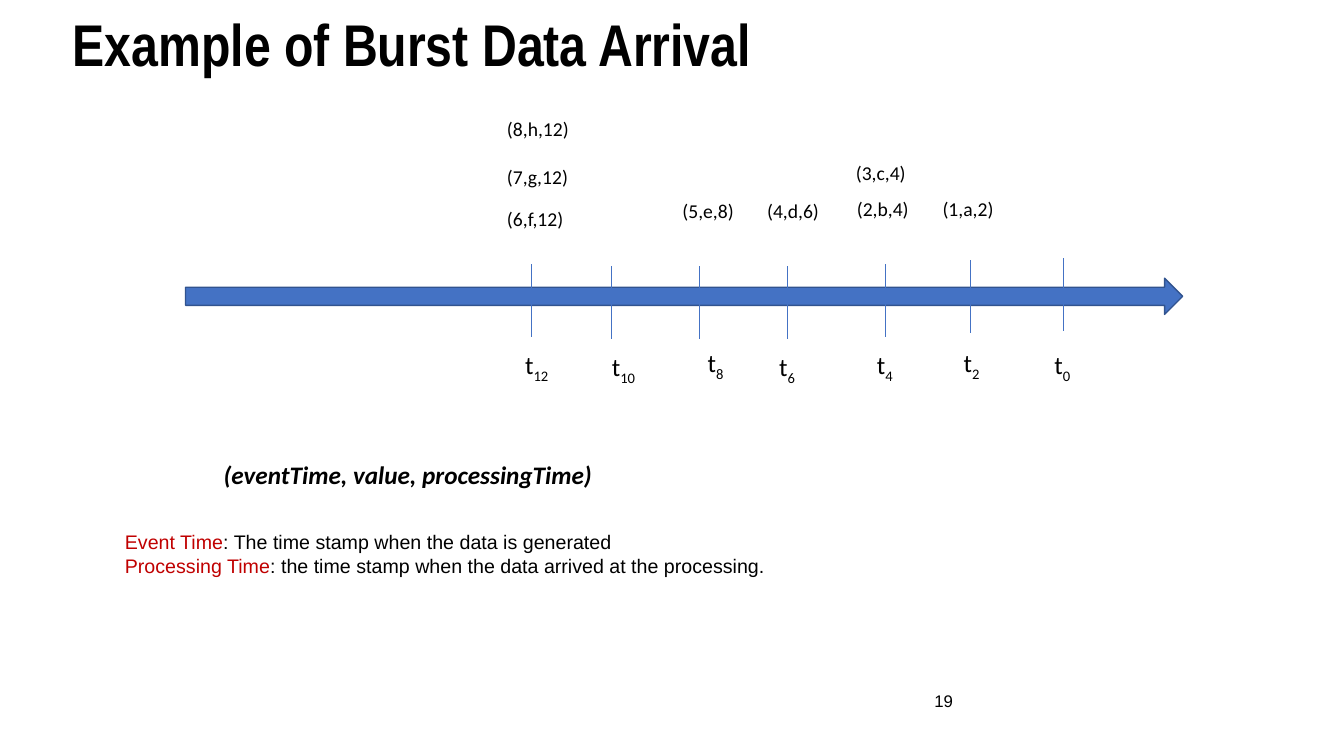
from pptx import Presentation
from pptx.dml.color import RGBColor
from pptx.enum.shapes import MSO_CONNECTOR, MSO_SHAPE
from pptx.enum.text import MSO_ANCHOR, PP_ALIGN
from pptx.oxml.ns import qn
from pptx.util import Emu, Pt
from lxml import etree

LINE = MSO_CONNECTOR.STRAIGHT
ARROW = MSO_SHAPE.RIGHT_ARROW
TOP, MIDDLE = MSO_ANCHOR.TOP, MSO_ANCHOR.MIDDLE
RIGHT = PP_ALIGN.RIGHT

BLACK, RED, BLUE, NAVY = "000000", "C00000", "4472C4", "31538F"
TICK = 72

# time, tick left, tick top, label left, label top
TIMES = [
    (12, 527, 262, 511, 342),
    (10, 607, 264, 597, 344),
    (8, 694, 264, 692, 340),
    (6, 781, 264, 763, 344),
    (4, 878, 262, 860, 342),
    (2, 963, 258, 946, 340),
    (0, 1055, 256, 1036, 342),
]
# event, left, top, width
EVENTS = [
    ("(8,h,12)", 493, 111, 82),
    ("(7,g,12)", 493, 159, 82),
    ("(6,f,12)", 493, 200, 82),
    ("(5,e,8)", 667, 192, 77),
    ("(4,d,6)", 751, 192, 77),
    ("(3,c,4)", 839, 155, 77),
    ("(2,b,4)", 840, 190, 77),
    ("(1,a,2)", 925, 190, 77),
]
NOTES = [
    ("Event Time", ": The time stamp when the data is generated"),
    ("Processing Time",
     ": the time stamp when the data arrived at the processing."),
]


def px(n):
    """Length in hundredths of an inch."""
    return Emu(n * 9144)


def rgb(code):
    return RGBColor.from_string(code)


def style(run, size, font, color=BLACK, bold=False, slant=False):
    run.font.size = Pt(size)
    run.font.name = font
    run.font.color.rgb = rgb(color)
    run.font.bold = bold
    run.font.italic = slant


def add_box(slide, left, top, width, height, wrap=False):
    box = slide.shapes.add_textbox(px(left), px(top), px(width), px(height))
    frame = box.text_frame
    frame.word_wrap = wrap
    frame.vertical_anchor = TOP
    return frame


def add_label(slide, text, left, top, width, height, size, font="Calibri",
              wrap=False, **looks):
    frame = add_box(slide, left, top, width, height, wrap)
    frame.text = text
    style(frame.paragraphs[0].runs[0], size, font, **looks)
    return frame


def add_title(slide, text):
    frame = add_label(slide, text, 67, 11, 1200, 56, 42, "Arial Narrow",
                      wrap=True, bold=True)
    frame.margin_left = frame.margin_right = px(5)
    frame.paragraphs[0].line_spacing = 0.9


def add_axis(slide):
    axis = slide.shapes.add_shape(ARROW, px(184), px(276), px(989), px(36))
    axis.shadow.inherit = False
    axis.fill.solid()
    axis.fill.fore_color.rgb = rgb(BLUE)
    axis.line.color.rgb = rgb(NAVY)
    axis.line.width = Pt(1)


def add_tick(slide, left, top):
    tick = slide.shapes.add_connector(
        LINE, px(left), px(top), px(left), px(top + TICK))
    tick.line.color.rgb = rgb(BLUE)
    tick.line.width = Pt(0.75)
    etree.SubElement(tick._element.spPr, qn("a:effectLst"))


def add_time(slide, time, left, top):
    """Letter t with the time as its subscript."""
    width = 46 if time > 9 else 37
    frame = add_label(slide, "t", left, top, width, 40, 18)
    sub = frame.paragraphs[0].add_run()
    sub.text = str(time)
    style(sub, 18, "Calibri")
    sub._r.get_or_add_rPr().set("baseline", "-25000")


def add_notes(slide):
    frame = add_box(slide, 114, 521, 701, 104, wrap=True)
    frame.text = "\n".join(term for term, _ in NOTES)
    for para, (_, sense) in zip(frame.paragraphs, NOTES):
        para.add_run().text = sense
        for run, color in zip(para.runs, (RED, BLACK)):
            style(run, 14, "Arial", color)


def add_number(slide, text):
    frame = add_label(slide, text, 644, 675, 311, 40, 12, "Arial", wrap=True)
    frame.vertical_anchor = MIDDLE
    frame.paragraphs[0].alignment = RIGHT


def main():
    deck = Presentation()
    deck.slide_width, deck.slide_height = px(1333), px(750)
    slide = deck.slides.add_slide(deck.slide_layouts[6])

    add_title(slide, "Example of Burst Data Arrival")
    add_axis(slide)
    for time, x, y, left, top in TIMES:
        add_tick(slide, x, y)
        add_time(slide, time, left, top)
    for text, left, top, width in EVENTS:
        add_label(slide, text, left, top, width, 34, 14)
    add_label(slide, "(eventTime, value, processingTime)",
              212, 451, 504, 40, 18, wrap=True, bold=True, slant=True)
    add_notes(slide)
    add_number(slide, "19")

    deck.save("out.pptx")


if __name__ == "__main__":
    main()
